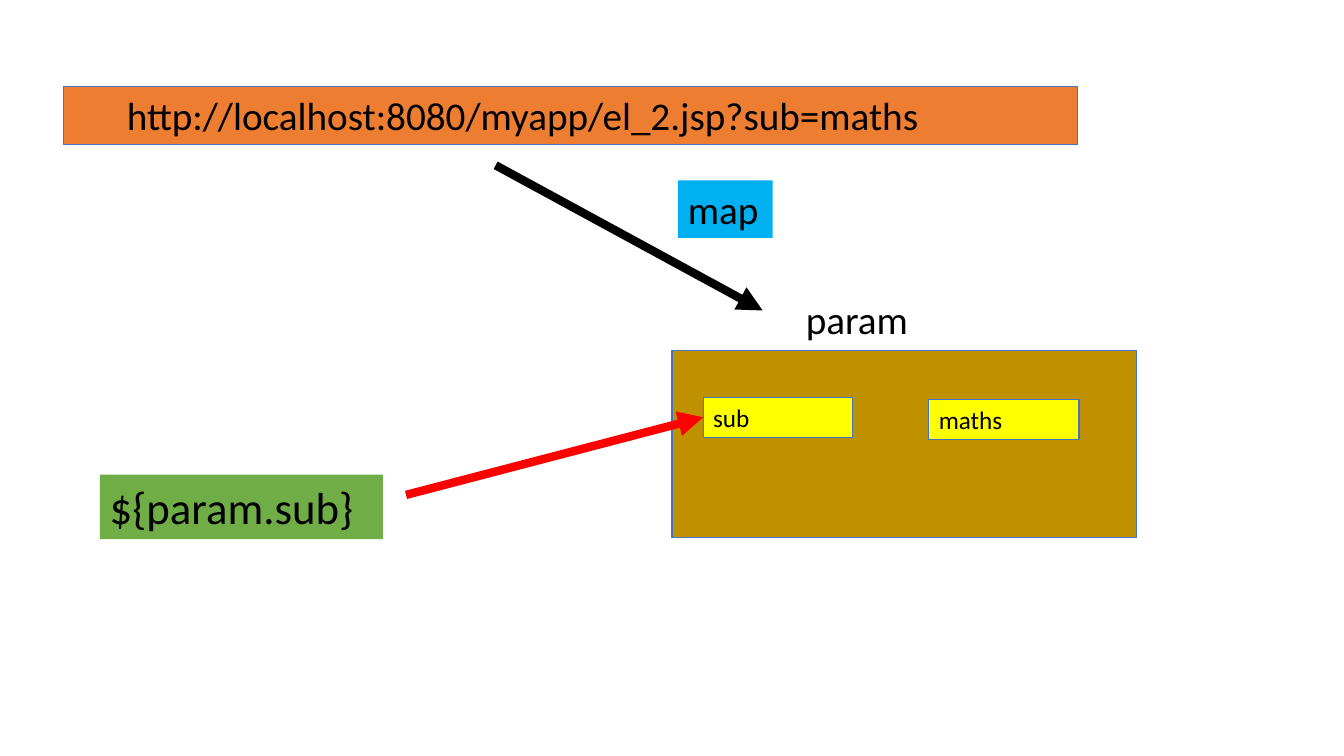
from lxml import etree
from pptx import Presentation, util as u
from pptx.dml.color import RGBColor
from pptx.enum import shapes, text
from pptx.oxml.ns import qn

HUES = {
    "orange": "ED7D31", "gold": "BF9000", "yellow": "FFFF00", "sky": "00B0F0",
    "green": "70AD47", "edge": "4472C4", "black": "000000", "red": "FF0000",
}


def hue(name):
    return RGBColor.from_string(HUES[name])


deck = Presentation()
deck.slide_width = u.Inches(13.34)
deck.slide_height = u.Inches(7.5)
slide = deck.slides.add_slide(deck.slide_layouts[6])

# words, place, fill, edge, text size, left inset
boxes = [
    ("http://localhost:8080/myapp/el_2.jsp?sub=maths",
     (0.63, 0.86, 10.07, 0.57), "orange", "edge", 28, 0.63),
    ("", (6.67, 3.48, 4.61, 1.85), "gold", "edge", 18, 0.1),
    ("param", (7.9, 2.88, 2.22, 0.57), None, None, 28, 0.1),
    ("sub", (6.98, 3.94, 1.48, 0.4), "yellow", "edge", 18, 0.1),
    ("maths", (9.22, 3.96, 1.49, 0.4), "yellow", "edge", 18, 0.1),
    ("map", (6.73, 1.79, 0.94, 0.57), "sky", None, 28, 0.1),
    ("${param.sub}", (0.99, 4.71, 2.81, 0.64), "green", None, 32, 0.1),
]
drawn = {}
for words, place, fill, edge, size, inset in boxes:
    place = [u.Inches(n) for n in place]
    if fill:
        box = slide.shapes.add_shape(shapes.MSO_SHAPE.RECTANGLE, *place)
        box.shadow.inherit = False
        box.fill.solid()
        box.fill.fore_color.rgb = hue(fill)
    else:
        box = slide.shapes.add_textbox(*place)
    if edge:
        box.line.color.rgb = hue(edge)
        box.line.width = u.Pt(0.75)
    else:
        box.line.fill.background()
    drawn[words] = box
    if not words:
        continue
    frame = box.text_frame
    form = {"word_wrap": True, "vertical_anchor": text.MSO_ANCHOR.TOP,
            "margin_left": u.Inches(inset)}
    for key, val in form.items():
        setattr(frame, key, val)
    para = frame.paragraphs[0]
    para.text = words
    para.alignment = text.PP_ALIGN.LEFT
    for key, val in {"name": "Calibri", "size": u.Pt(size)}.items():
        setattr(para.font, key, val)
    para.font.color.rgb = hue("black")

# start, end, colour, box to join
arrows = [
    ((4.92, 1.64), (7.57, 3.08), "black", None),
    ((4.03, 4.91), (6.98, 4.14), "red", "sub"),
]
for start, end, tint, goal in arrows:
    ends = [u.Inches(n) for n in start + end]
    arrow = slide.shapes.add_connector(shapes.MSO_CONNECTOR.STRAIGHT, *ends)
    if goal:
        arrow.end_connect(drawn[goal], 1)
    arrow.line.color.rgb = hue(tint)
    arrow.line.width = u.Pt(6)
    props = arrow.line._get_or_add_ln()
    etree.SubElement(props, qn("a:tailEnd"), type="triangle")
    etree.SubElement(props.getparent(), qn("a:effectLst"))

deck.save("out.pptx")
